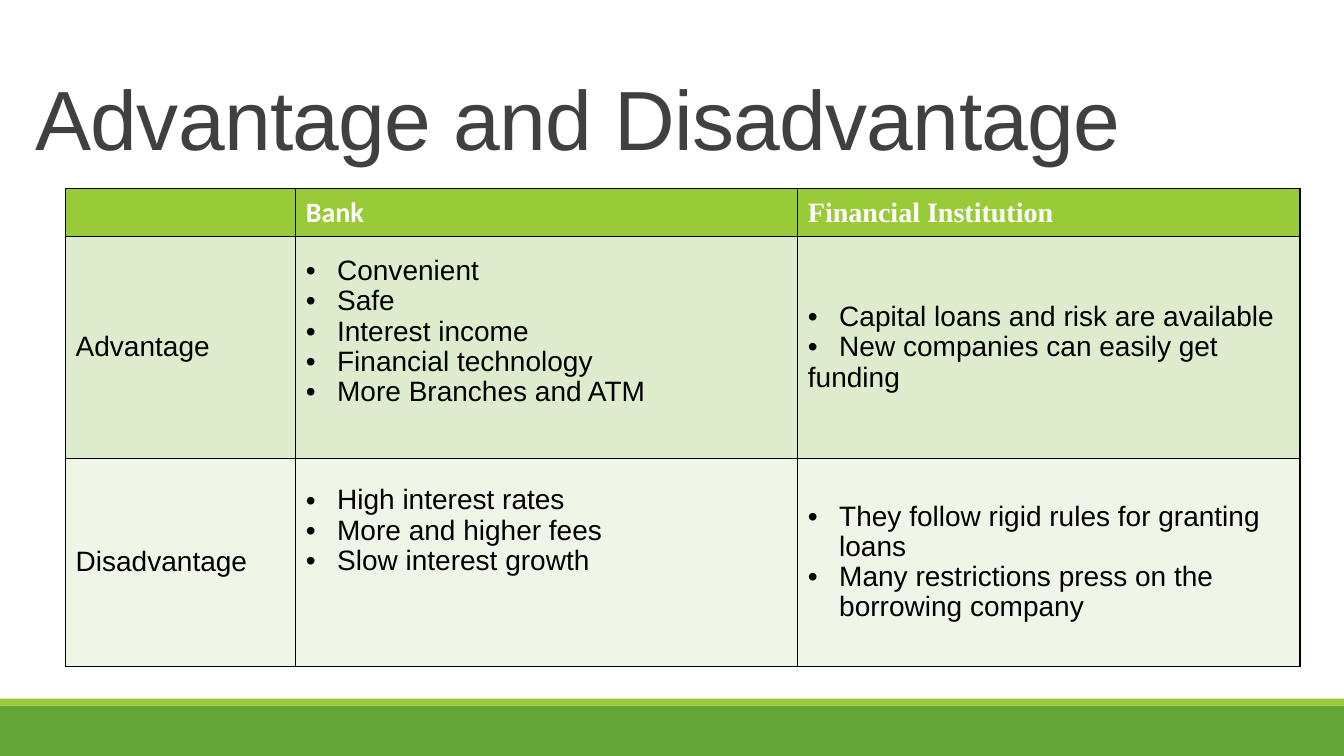
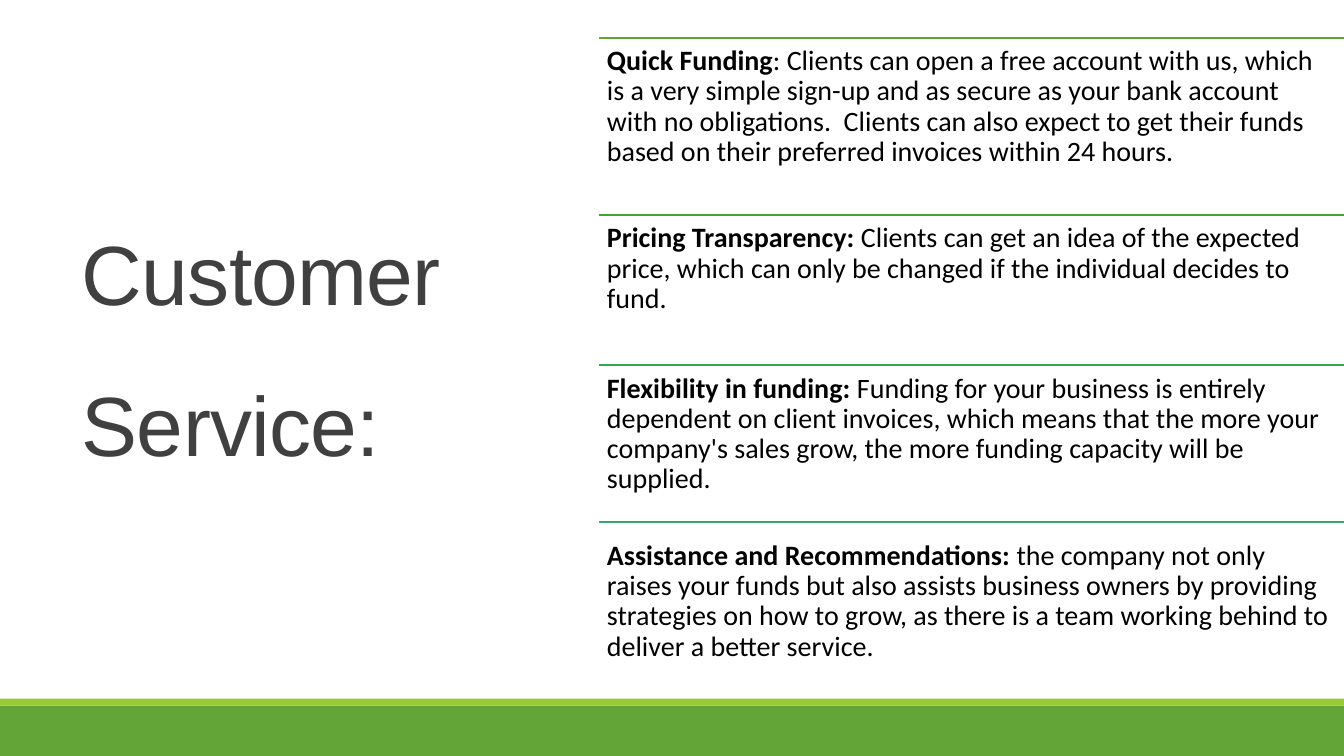
from lxml import etree
from pptx import Presentation
from pptx.dml.color import RGBColor as RGB
from pptx.enum.shapes import MSO_CONNECTOR as LINE, MSO_SHAPE as SHAPE
from pptx.enum.text import MSO_ANCHOR as ANCHOR
from pptx.oxml import parse_xml
from pptx.oxml.ns import nsdecls, qn
from pptx.util import Inches, Pt

GREEN, LIME = RGB(0x63, 0xA5, 0x37), RGB(0x99, 0xCB, 0x38)
PALE, MIST = RGB(0xDE, 0xEC, 0xCE), RGB(0xEF, 0xF6, 0xE8)
GREY, BLACK, WHITE = RGB(0x40, 0x40, 0x40), RGB(0, 0, 0), RGB(255, 255, 255)
RULES = [GREEN, RGB(0x42, 0xA6, 0x37), RGB(0x37, 0xA6, 0x4D), RGB(0x37, 0xA7, 0x6F)]

HEAD = dict(size=Pt(60), name="Arial")
BODY = dict(size=Pt(20), name="Calibri")
CELL = dict(size=Pt(20), name="Arial", bold=False)

deck = Presentation()
deck.slide_width, deck.slide_height = Inches(13.33), Inches(7.5)


def grid(x, y, w, h):
    """Turn percentages of the slide's width and height into lengths."""
    wide, high = deck.slide_width / 100, deck.slide_height / 100
    return int(x * wide), int(y * high), int(w * wide), int(h * high)


def write(para, text, color, form):
    run = para.add_run()
    run.text = text
    run.font.color.rgb = color
    for key, val in form.items():
        setattr(run.font, key, val)
    return run


# Bands and titles
slides = []
for title, place, gap in [
    ("Advantage and Disadvantage", (2.63, 2.8, 96.25, 19.33), 0.85),
    ("Customer Service:", (6.08, 21.2, 28.36, 41.47), 1.5),
]:
    slide = deck.slides.add_slide(deck.slide_layouts[6])
    slides.append(slide)
    for top, high, color in [(93.33, 6.67, GREEN), (92.4, 0.93, LIME)]:
        band = slide.shapes.add_shape(SHAPE.RECTANGLE, *grid(0, top, 100, high))
        band.shadow.inherit = False
        band.fill.solid()
        band.fill.fore_color.rgb = color
        band.line.fill.background()
    frame = slide.shapes.add_textbox(*grid(*place)).text_frame
    frame.word_wrap, frame.vertical_anchor = True, ANCHOR.BOTTOM
    for side in ("left", "right", "top", "bottom"):
        setattr(frame, f"margin_{side}", 0)
    para = frame.paragraphs[0]
    para.line_spacing = gap
    run = write(para, title, GREY, HEAD)
    run._r.get_or_add_rPr().set("spc", "-50")

# Comparison table
cols, rows = [17.13, 37.36, 37.36], [6.4, 29.33, 27.47]
cells = [
    [[], ["Bank"], ["Financial Institution"]],
    [
        ["Advantage"],
        ["• Convenient", "• Safe", "• Interest income",
         "• Financial technology", "• More Branches and ATM"],
        ["• Capital loans and risk are available",
         "• New companies can easily get", "funding"],
    ],
    [
        ["Disadvantage"],
        ["• High interest rates", "• More and higher fees", "• Slow interest growth"],
        ["• They follow rigid rules for granting loans",
         "• Many restrictions press on the borrowing company"],
    ],
]
fonts = ["Calibri", "Calibri", "Times New Roman"]
lifts = {(1, 1): 0.36, (2, 1): 0.67}

place = grid(4.88, 24.93, sum(cols), sum(rows))
table = slides[0].shapes.add_table(len(rows), len(cols), *place).table
for col, wide in zip(table.columns, cols):
    col.width = grid(0, 0, wide, 0)[2]
for row, high in zip(table.rows, rows):
    row.height = grid(0, 0, 0, high)[3]

for r, (line, fill) in enumerate(zip(cells, [LIME, PALE, MIST])):
    for c, items in enumerate(line):
        cell = table.cell(r, c)
        cell.vertical_anchor = ANCHOR.MIDDLE
        cell.margin_bottom = Inches(lifts.get((r, c), 0.05))
        cell.fill.solid()
        cell.fill.fore_color.rgb = fill
        props = cell._tc.get_or_add_tcPr()
        for i, side in enumerate("LRTB"):
            props.insert(i, parse_xml(
                f'<a:ln{side} {nsdecls("a")} w="12700"><a:solidFill>'
                f'<a:srgbClr val="{BLACK}"/></a:solidFill></a:ln{side}>'))
        form = CELL if r else dict(BODY, name=fonts[c], bold=True)
        for i, item in enumerate(items):
            frame = cell.text_frame
            para = frame.add_paragraph() if i else frame.paragraphs[0]
            if r:
                para.line_spacing = 0.97
            if item.startswith("• "):
                props = para._p.get_or_add_pPr()
                props.set("marL", str(Inches(0.31)))
                props.set("indent", str(-Inches(0.31)))
                etree.SubElement(props, qn("a:buFont")).set("typeface", "Arial")
                etree.SubElement(props, qn("a:buChar")).set("char", "•")
            write(para, item.removeprefix("• "), BLACK if r else WHITE, form)

# Service points
points = [
    (5.07, 5.07, 27.47, "Quick Funding",
     ": Clients can open a free account with us, which is a very simple sign-up and "
     "as secure as your bank account with no obligations.  Clients can also expect "
     "to get their funds based on their preferred invoices within 24 hours."),
    (28.4, 28.53, 21.07, "Pricing Transparency: ",
     "Clients can get an idea of the expected price, which can only be changed if "
     "the individual decides to fund."),
    (48.27, 48.4, 19.2, "Flexibility in funding: ",
     "Funding for your business is entirely dependent on client invoices, which "
     "means that the more your company's sales grow, the more funding capacity "
     "will be supplied."),
    (69.07, 70.53, 21.07, "Assistance and Recommendations: ",
     "the company not only raises your funds but also assists business owners by "
     "providing strategies on how to grow, as there is a team working behind to "
     "deliver a better service."),
]
shapes = slides[1].shapes
for color, (mark, top, high, name, text) in zip(RULES, points):
    left, y, right, _ = grid(44.56, mark, 100, 0)
    rule = shapes.add_connector(LINE.STRAIGHT, left, y, right, y)
    rule.line.color.rgb, rule.line.width = color, Pt(1.25)
    etree.SubElement(rule._element.spPr, qn("a:effectLst"))
    frame = shapes.add_textbox(*grid(44.56, top, 55.29, high)).text_frame
    frame.word_wrap = True
    for side in ("left", "right", "top", "bottom"):
        setattr(frame, f"margin_{side}", Inches(0.08))
    para = frame.paragraphs[0]
    para.line_spacing = 0.9
    write(para, name, BLACK, dict(BODY, bold=True))
    write(para, text, BLACK, dict(BODY, bold=False))

deck.save("out.pptx")
